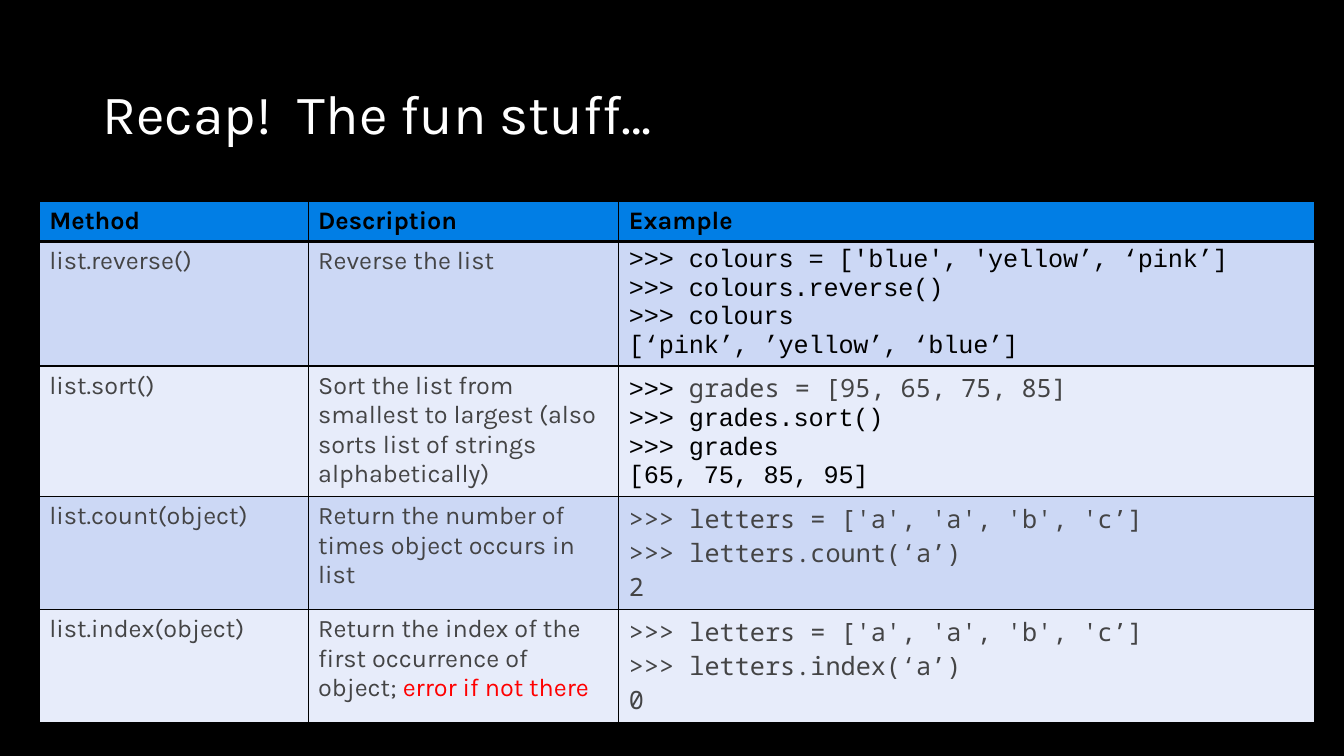
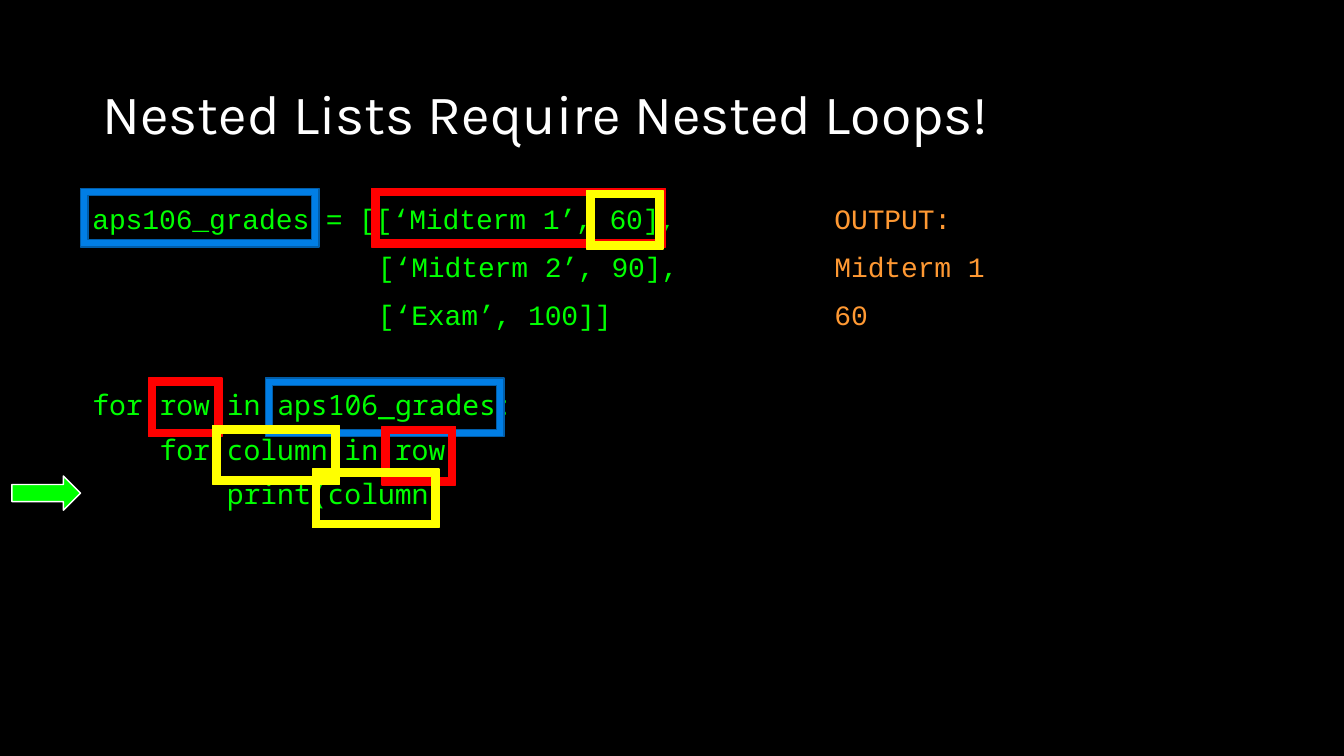
from lxml import etree
from pptx import Presentation
from pptx.dml.color import RGBColor
from pptx.enum.shapes import MSO_SHAPE
from pptx.enum.text import MSO_ANCHOR, MSO_AUTO_SIZE, PP_ALIGN
from pptx.oxml.ns import qn
from pptx.util import Pt

FRAME, ARROW = MSO_SHAPE.FRAME, MSO_SHAPE.RIGHT_ARROW
MIDDLE, TOP = MSO_ANCHOR.MIDDLE, MSO_ANCHOR.TOP
NO_AUTOFIT, LEFT = MSO_AUTO_SIZE.NONE, PP_ALIGN.LEFT

BLACK = RGBColor(0x00, 0x00, 0x00)
WHITE = RGBColor(0xFF, 0xFF, 0xFF)
GREY = RGBColor(0x44, 0x44, 0x45)
RED = RGBColor(0xFF, 0x00, 0x00)
YELLOW = RGBColor(0xFF, 0xFF, 0x00)
GREEN = RGBColor(0x00, 0xFF, 0x00)
ORANGE = RGBColor(0xFF, 0x99, 0x33)
BLUE = RGBColor(0x01, 0x7E, 0xE5)
DARK_BLUE = RGBColor(0x01, 0x5D, 0xA9)
BAND_DARK = RGBColor(0xCC, 0xD8, 0xF5)
BAND_LIGHT = RGBColor(0xE7, 0xEC, 0xFA)

KARLA, COURIER, NOTO = "Karla", "Courier New", "Noto Sans Mono"

TITLE_BOX = (66, 57.5, 828, 52)
TABLE_BOX = (28.1, 144, 911, 371.5)
CODE_BOX = (66, 144, 451.5, 258.5)
OUTPUT_BOX = (596, 144, 298, 192)

COLUMN_WIDTHS = (192, 222, 497)
ROW_HEIGHTS = (28.6, 88.6, 92.9, 80.7, 80.7)
HEADERS = ("Method", "Description", "Example")


def plain(text):
    return [[(text, KARLA, GREY)]]


def code(lines, font, color):
    return [[(line, font, color)] for line in lines]


METHODS = (
    (
        plain("list.reverse()"),
        plain("Reverse the list"),
        code(
            (
                ">>> colours = ['blue', 'yellow’, ‘pink’]",
                ">>> colours.reverse()",
                ">>> colours",
                "[‘pink’, ’yellow’, ‘blue’]",
            ),
            COURIER, BLACK,
        ),
    ),
    (
        plain("list.sort()"),
        plain("Sort the list from smallest to largest (also sorts list of strings alphabetically)"),
        [[(">>> ", COURIER, BLACK), ("grades = [95, 65, 75, 85]", NOTO, GREY)]]
        + code((">>> grades.sort()", ">>> grades", "[65, 75, 85, 95]"), COURIER, BLACK),
    ),
    (
        plain("list.count(object)"),
        plain("Return the number of times object occurs in list"),
        code((">>> letters = ['a', 'a', 'b', 'c’]", ">>> letters.count(‘a’)", "2"), NOTO, GREY),
    ),
    (
        plain("list.index(object)"),
        [[
            ("Return the index of the first occurrence of object; ", KARLA, GREY),
            ("error if not there", KARLA, RED),
        ]],
        code((">>> letters = ['a', 'a', 'b', 'c’]", ">>> letters.index(‘a’)", "0"), NOTO, GREY),
    ),
)

CODE_LINES = (
    ("aps106_grades = [[‘Midterm 1’, 60],", COURIER, 0, 10),
    ("[‘Midterm 2’, 90],", COURIER, 204, 10),
    ("[‘Exam’, 100]]", COURIER, 204, 10),
    ("for row in aps106_grades:", NOTO, 0, 43),
    ("for column in row:", NOTO, 48, 10),
    ("print(column)", NOTO, 96, 10),
)
OUTPUT_LINES = tuple((text, COURIER, 0, 10) for text in ("OUTPUT:", "Midterm 1", "60"))
LINE_SPACING = {COURIER: 1.01, NOTO: 0.9}

FRAME_HEIGHT = 42
FRAME_STYLES = {
    "list": (170.5, BLUE, DARK_BLUE),
    "first row": (210, RED, RED),
    "row": (52.5, RED, RED),
    "column": (90.5, YELLOW, YELLOW),
    "grade": (54.5, YELLOW, YELLOW),
}
FRAMES = (
    ("row", 40, 126),
    ("list", 123.5, 126),
    ("first row", 199.5, -9.5),
    ("list", -8.5, -9.5),
    ("row", 207, 160.5),
    ("column", 86, 160),
    ("grade", 353, -8),
    ("column", 157, 191),
)


def points(box):
    return [Pt(value) for value in box]


def format_run(run, font, size, color, bold=False):
    run.font.name = font
    run.font.size = Pt(size)
    run.font.color.rgb = color
    run.font.bold = bold
    if font == COURIER:
        run.font._element.set("spc", "-10")


def add_titled_slide(presentation, text):
    slide = presentation.slides.add_slide(presentation.slide_layouts[5])
    title = slide.shapes.title
    title.left, title.top, title.width, title.height = points(TITLE_BOX)
    frame = title.text_frame
    frame.text = text
    frame.auto_size = NO_AUTOFIT
    frame.vertical_anchor = MIDDLE
    paragraph = frame.paragraphs[0]
    paragraph.alignment = LEFT
    paragraph.line_spacing = 0.9
    format_run(paragraph.runs[0], KARLA, 39.6, WHITE)
    return slide


def set_borders(cell, widths):
    properties = cell._tc.get_or_add_tcPr()
    for side, width in zip("LRTB", widths):
        line = etree.SubElement(properties, qn(f"a:ln{side}"), w=str(Pt(width)))
        fill = etree.SubElement(line, qn("a:solidFill"))
        etree.SubElement(fill, qn("a:srgbClr"), val=str(BLACK))


def fill_cell(cell, lines, color, borders, bold):
    set_borders(cell, borders)
    cell.fill.solid()
    cell.fill.fore_color.rgb = color
    frame = cell.text_frame
    for index, pieces in enumerate(lines):
        paragraph = frame.paragraphs[0] if index == 0 else frame.add_paragraph()
        for text, font, text_color in pieces:
            run = paragraph.add_run()
            run.text = text
            format_run(run, font, 18, text_color, bold)


def add_method_table(slide, box):
    header = tuple([[(text, KARLA, BLACK)]] for text in HEADERS)
    rows = (header,) + METHODS
    table = slide.shapes.add_table(len(rows), len(HEADERS), *points(box)).table
    for column, width in zip(table.columns, COLUMN_WIDTHS):
        column.width = Pt(width)
    for index, (row, height) in enumerate(zip(rows, ROW_HEIGHTS)):
        table.rows[index].height = Pt(height)
        is_header = index == 0
        color = BLUE if is_header else (BAND_LIGHT, BAND_DARK)[index % 2]
        borders = (1, 1, 3 if index == 1 else 1, 3 if is_header else 1)
        for position, lines in enumerate(row):
            fill_cell(table.cell(index, position), lines, color, borders, is_header)


def add_code_text(slide, box, lines, color):
    frame = slide.shapes.add_textbox(*points(box)).text_frame
    frame.word_wrap = True
    frame.vertical_anchor = TOP
    frame.margin_left = frame.margin_right = frame.margin_top = frame.margin_bottom = 0
    for index, (text, font, indent, gap) in enumerate(lines):
        paragraph = frame.paragraphs[0] if index == 0 else frame.add_paragraph()
        paragraph.text = text
        paragraph.line_spacing = LINE_SPACING[font]
        paragraph.space_before = Pt(gap)
        paragraph._p.get_or_add_pPr().set("marL", str(Pt(indent)))
        format_run(paragraph.runs[0], font, 20, color)


def add_marker(slide, kind, box, fill_color, line_color):
    shape = slide.shapes.add_shape(kind, *points(box))
    shape.shadow.inherit = False
    shape.fill.solid()
    shape.fill.fore_color.rgb = fill_color
    shape.line.color.rgb = line_color
    shape.line.width = Pt(1)


def add_code_markers(slide, box):
    left, top = box[:2]
    for name, across, down in FRAMES:
        width, fill_color, line_color = FRAME_STYLES[name]
        frame_box = (left + across, top + down, width, FRAME_HEIGHT)
        add_marker(slide, FRAME, frame_box, fill_color, line_color)
    add_marker(slide, ARROW, (left - 57.5, top + 196, 49, 24.5), GREEN, WHITE)


def main():
    presentation = Presentation()
    presentation.slide_width, presentation.slide_height = Pt(960), Pt(540)
    background = presentation.slide_master.background.fill
    background.solid()
    background.fore_color.rgb = BLACK

    recap = add_titled_slide(presentation, "Recap!  The fun stuff…")
    add_method_table(recap, TABLE_BOX)

    loops = add_titled_slide(presentation, "Nested Lists Require Nested Loops!")
    add_code_text(loops, CODE_BOX, CODE_LINES, GREEN)
    add_code_text(loops, OUTPUT_BOX, OUTPUT_LINES, ORANGE)
    add_code_markers(loops, CODE_BOX)

    presentation.save("out.pptx")


if __name__ == "__main__":
    main()
